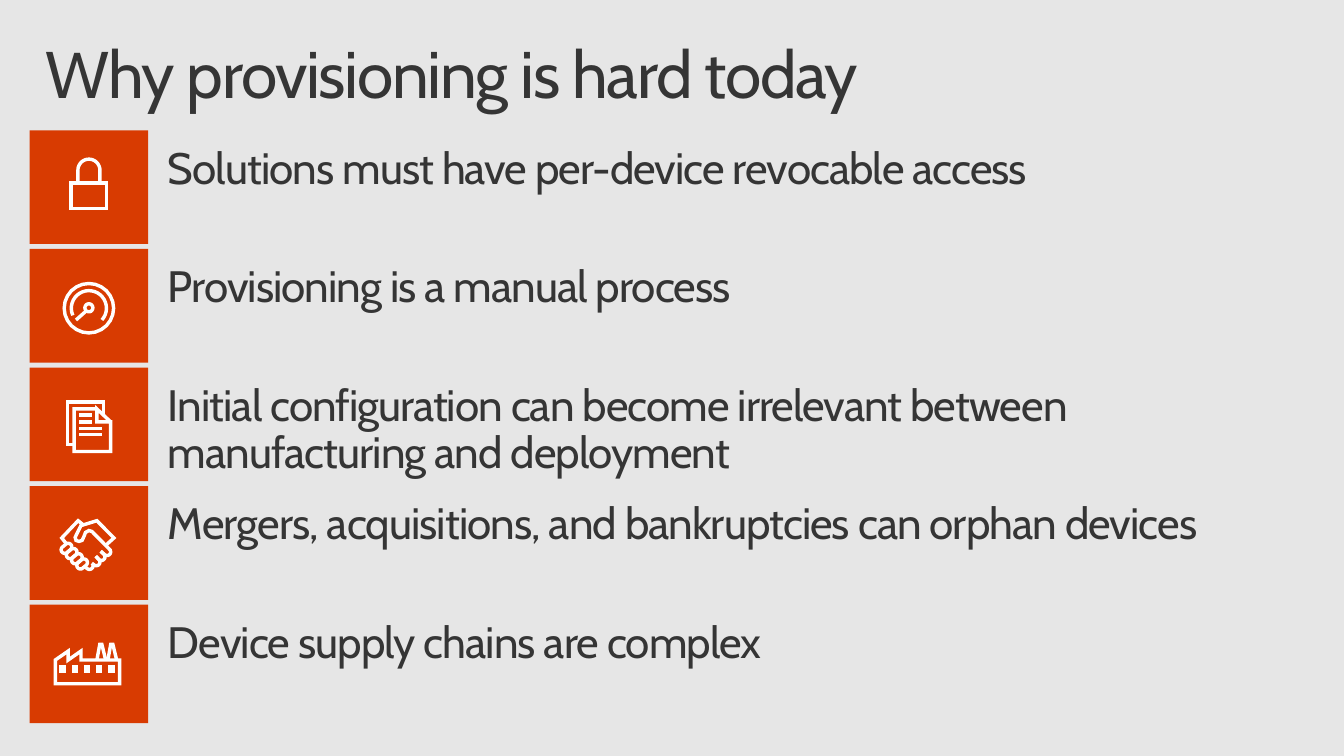
from math import cos, radians, sin

from lxml.etree import SubElement
from pptx import Presentation
from pptx.dml.color import RGBColor as RGB
from pptx.enum.shapes import MSO_SHAPE as SHAPE
from pptx.enum.text import MSO_ANCHOR as ANCHOR, MSO_AUTO_SIZE as FIT, PP_ALIGN as ALIGN
from pptx.oxml.ns import qn
from pptx.util import Pt

GREY = RGB(0xE6, 0xE6, 0xE6)
INK = RGB(0x35, 0x35, 0x35)
RUST = RGB(0xD8, 0x3B, 0x01)
WHITE = RGB(0xFF, 0xFF, 0xFF)
FONT = "Cabin"
PITCH = 86.4
GAP = 3.6


def arc(x, y, r, start, end):
    """Points along an arc; angles in degrees, clockwise from the right."""
    turns = [radians(start + (end - start) * i / 24) for i in range(25)]
    return [(x + r * cos(t), y + r * sin(t)) for t in turns]


def rect(left, top, right, low):
    return [(left, top), (right, top), (right, low), (left, low), (left, top)]


# Each icon is a list of strokes around its own centre, in points.

def lock():
    return [rect(-13, -2.9, 13, 15.8),
            [(-8, -2.9), *arc(0, -12.2, 8, 180, 360), (8, -2.9)]]


def gauge():
    return [arc(0, 0, 18, 0, 360), arc(0, 0, 12.8, 156, 402),
            arc(0, -0.3, 2.9, 0, 360), [(-9.4, 8.6), (-2.2, 2.2)]]


def pages():
    back = [(-10.8, 13), (-15.8, 13), (-15.8, -18), (10.8, -18), (10.8, -8.6)]
    front = [(5.8, -13), (-10.8, -13), (-10.8, 18), (15.8, 18),
             (15.8, -3.6), (5.8, -3.6), (5.8, -13), (15.8, -3.6)]
    rows = [(9.4, 5.8), (9.4, 1.4), (2.2, -3.6), (2.2, -8.6)]
    return [back, front] + [[(-7.2, y), (x, y)] for x, y in rows]


def hands():
    def tip(x, y):
        return arc(x, y, 2.6, 135, -45)

    def grip(shift):
        ring = (arc(-17.6 + shift, 3.2 + shift, 2.6, 45, 225)
                + arc(-15.1 + shift, 1.1 + shift, 2.6, 225, 405))
        return ring + ring[:1]

    cuff = [(-16.6, -1.4), (-19.8, -5.4), (-7.9, -18), (-4.3, -15.1)]
    palm = [(12.2, 0), (18.2, -5.4), (5.8, -18), (-5.8, -14.4), (-9.4, -7.2),
            (-10, -5.8), (-9.4, -3.6), (-7.2, -2.9), (-5, -3.6), (-3.6, -6.5),
            (-2.5, -9.4), (0, -10.8), (2.2, -10.1), (15.1, 2.9),
            *arc(13.2, 4.8, 2.6, -45, 135), (8.6, 4.3)]
    upper = [(5, 7.9), *tip(9.1, 8.4), (8.6, 4.3)]
    lower = [(-2.9, 15.8), *tip(0.4, 14.9), *tip(5.4, 12.2), (5, 7.9)]
    return [cuff, palm, upper, lower] + [grip(3.8 * i) for i in range(4)]


def plant():
    hall = [(22.3, -2.9), (22.3, 14.4), (-24.5, 14.4), (-24.5, -2.9),
            (-15.1, -9.4), (-15.1, -2.9), (-5.8, -9.4), (-5.8, -2.9), (22.3, -2.9)]
    stacks = [[(x, -2.9), (x + 2.1, -14.4), (x + 3.6, -14.4), (x + 6.4, -2.9)]
              for x in (5.8, 13.8)]
    panes = [rect(x, 2.2, x + 2.4, 5) for x in (-20.2 + 8.8 * i for i in range(5))]
    return [hall] + stacks + panes


ROWS = [
    (lock, "Solutions must have per-device revocable access"),
    (gauge, "Provisioning is a manual process"),
    (pages, "Initial configuration can become irrelevant between "
            "manufacturing and deployment"),
    (hands, "Mergers, acquisitions, and bankruptcies can orphan devices"),
    (plant, "Device supply chains are complex"),
]


def write(shape, text, size, track, pad):
    """Fill a shape with one top-left paragraph; pad is (side, top), track is letter spacing."""
    frame = shape.text_frame
    frame.text = text
    frame.word_wrap = True
    frame.auto_size = FIT.NONE
    frame.vertical_anchor = ANCHOR.TOP
    frame.margin_left = frame.margin_right = Pt(pad[0])
    frame.margin_top = frame.margin_bottom = Pt(pad[1])
    para = frame.paragraphs[0]
    para.alignment = ALIGN.LEFT
    para.line_spacing = 0.9
    para.space_before = Pt(0)
    run = para.runs[0]
    run.font.name = FONT
    run.font.size = Pt(size)
    run.font.color.rgb = INK
    run.font._element.set("spc", str(round(track * 100)))


def draw(shapes, strokes, x, y):
    """Draw strokes as one outline centred on x, y."""
    paths = [[(Pt(a), Pt(b)) for a, b in stroke] for stroke in strokes]
    pen = shapes.build_freeform(*paths[0][0])
    for i, path in enumerate(paths):
        if i:
            pen.move_to(*path[0])
        pen.add_line_segments(path[1:], close=path[0] == path[-1])
    icon = pen.convert_to_shape(Pt(x), Pt(y))
    icon.shadow.inherit = False
    icon.fill.background()
    icon.line.color.rgb = WHITE
    icon.line.width = Pt(2.5)
    SubElement(icon.line._get_or_add_ln(), qn("a:miter"), lim="800000")


def head(slide, left, top, width, height):
    title = slide.shapes.title
    title.left, title.top = Pt(left), Pt(top)
    title.width, title.height = Pt(width), Pt(height)
    write(title, "Why provisioning is hard today", 48, -1, (11.5, 7.2))


def row(shapes, icon, text, left, top, width, high):
    tile = shapes.add_shape(SHAPE.RECTANGLE, Pt(left), Pt(top), Pt(PITCH), Pt(high))
    tile.shadow.inherit = False
    tile.fill.solid()
    tile.fill.fore_color.rgb = RUST
    tile.line.fill.background()
    label = shapes.add_textbox(Pt(left + PITCH), Pt(top), Pt(width - PITCH), Pt(PITCH))
    write(label, text, 32, -0.7, (14.4, 11.5))
    rise = 2 if icon is lock else 0
    draw(shapes, icon(), left + PITCH / 2, top + PITCH / 2 - rise)


def main():
    deck = Presentation()
    deck.slide_width, deck.slide_height = Pt(979.2), Pt(550.8)
    slide = deck.slides.add_slide(deck.slide_layouts[5])
    slide.background.fill.solid()
    slide.background.fill.fore_color.rgb = GREY
    head(slide, 21.6, 23, 936, 72)
    for i, (icon, text) in enumerate(ROWS):
        high = PITCH if icon is plant else PITCH - GAP
        row(slide.shapes, icon, text, 21.6, 95 + i * PITCH, 936, high)
    deck.save("out.pptx")


if __name__ == "__main__":
    main()
